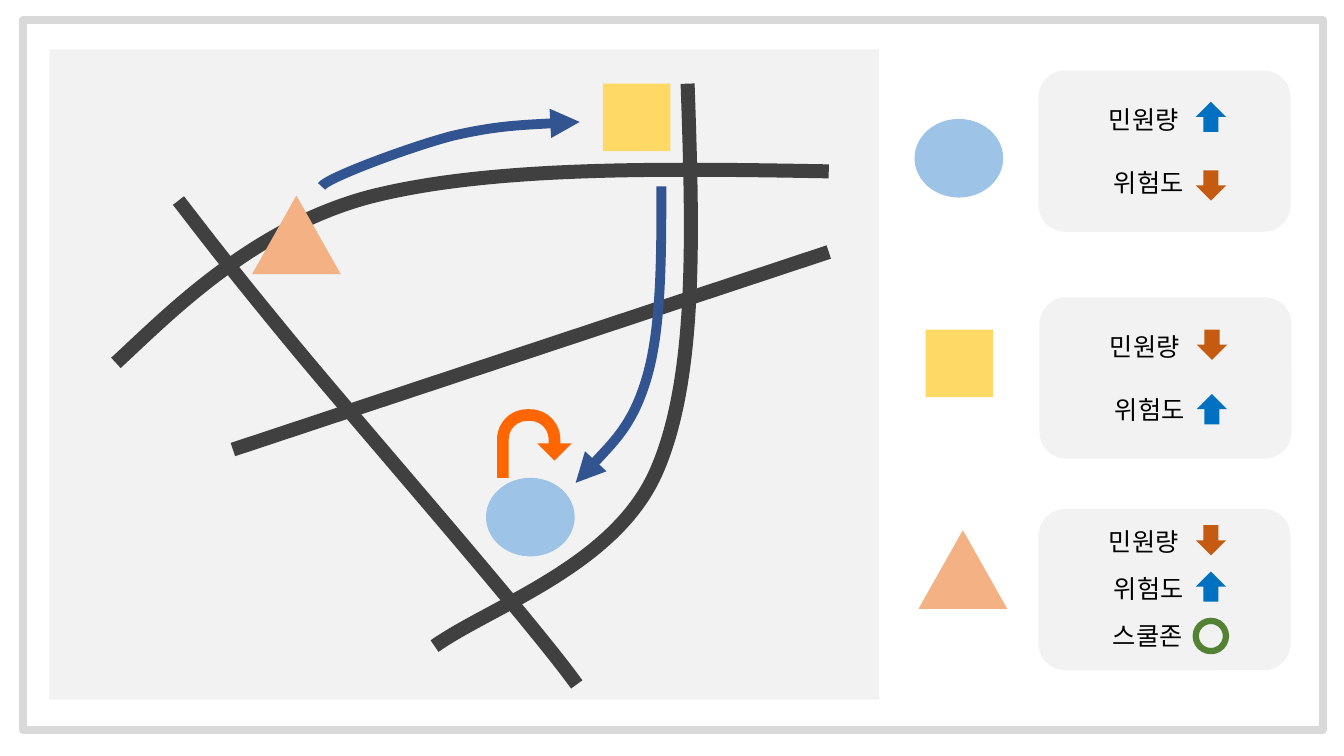
import pptx
import pptx.util
import pptx.dml.color
import pptx.enum.shapes
import pptx.oxml
import pptx.oxml.ns

Inches = pptx.util.Inches
Pt = pptx.util.Pt
SHAPES = pptx.enum.shapes.MSO_SHAPE
qn = pptx.oxml.ns.qn

THEME = {
    "panel": "F2F2F2", "frame": "D9D9D9", "road": "404040", "route": "325491",
    "circle": "9DC3E6", "square": "FFD966", "triangle": "F4B183",
    "up": "0070C0", "down": "C55A11", "zone": "548235", "return": "FF6600",
    "text": "000000", "font": "Noto Sans CJK KR", "label_size": 18,
    "road_width": 10, "route_width": 7, "frame_width": 6, "zone_width": 4.5,
}

# Content: each curve is a start point followed by Bezier triples
CURVED_ROADS = [
    [(6.82, 0.83), (6.87, 2.3), (6.92, 3.77), (6.5, 4.7),
     (6.08, 5.62), (4.88, 6.01), (4.31, 6.41)],
    [(8.22, 1.7), (6.52, 1.67), (4.82, 1.65), (3.64, 1.96),
     (2.47, 2.28), (1.63, 3.16), (1.15, 3.6)],
    [(1.77, 1.99), (2.01, 2.3), (2.25, 2.62), (2.91, 3.42),
     (3.57, 4.22), (5.26, 6.15), (5.72, 6.79)],
]
STRAIGHT_ROAD = [(8.22, 2.5), (2.31, 4.46)]
ROUTES = [
    [(6.56, 1.85), (6.56, 2.54), (6.56, 3.24), (6.42, 3.73),
     (6.28, 4.22), (5.86, 4.63), (5.71, 4.79)],
    [(3.19, 1.85), (3.23, 1.77), (4.06, 1.46), (4.48, 1.35),
     (4.91, 1.25), (5.33, 1.23), (5.75, 1.21)],
]
SITES = {  # preset, width, height
    "triangle": (SHAPES.ISOSCELES_TRIANGLE, 0.88, 0.78),
    "square": (SHAPES.RECTANGLE, 0.67, 0.67),
    "circle": (SHAPES.OVAL, 0.88, 0.78),
}
MAP_SITES = [("triangle", 2.5, 1.94), ("square", 5.98, 0.83), ("circle", 4.82, 4.74)]
COMPLAINTS, RISK, SCHOOL_ZONE = "민원량", "위험도", "스쿨존"
LABEL_INDENT = {COMPLAINTS: 0.6, RISK: 0.65, SCHOOL_ZONE: 0.64}
# site, site left, site top, card left, card top, first label, label pitch,
# rows of (label, mark, mark drop below label top)
LEGEND = [
    ("circle", 9.07, 1.18, 10.3, 0.7, 0.29, 0.62,
     [(COMPLAINTS, "up", 0.02), (RISK, "down", 0.08)]),
    ("square", 9.18, 3.27, 10.31, 2.95, 0.29, 0.62,
     [(COMPLAINTS, "down", 0.03), (RISK, "up", 0.05)]),
    ("triangle", 9.11, 5.26, 10.3, 5.05, 0.12, 0.47,
     [(COMPLAINTS, "down", 0.04), (RISK, "up", 0.03), (SCHOOL_ZONE, "zone", 0.05)]),
]
CARD_WIDTH, CARD_HEIGHT = 2.5, 1.6
MARK_INDENT, MARK_SIZE = 1.56, 0.3


def colour(role):
    return pptx.dml.color.RGBColor.from_string(THEME[role])


def add_preset(slide, preset, left, top, width, height, fill=None, line=None):
    shape = slide.shapes.add_shape(
        preset, Inches(left), Inches(top), Inches(width), Inches(height))
    shape.shadow.inherit = False
    if fill:
        shape.fill.solid()
        shape.fill.fore_color.rgb = colour(fill)
    else:
        shape.fill.background()
    if line:
        set_line(shape, line)
    else:
        shape.line.fill.background()
    return shape


def set_line(shape, role):
    shape.line.color.rgb = colour(role)
    shape.line.width = Pt(THEME[role + "_width"])


def add_curve(slide, points, role):
    start, *rest = [(Inches(x), Inches(y)) for x, y in points]
    builder = slide.shapes.build_freeform(*start)
    builder.add_line_segments(rest, close=False)
    curve = builder.convert_to_shape()
    curve.shadow.inherit = False
    curve.fill.background()
    set_line(curve, role)
    # Join every three segments into one cubic Bezier
    segments = list(curve._element.iter(qn("a:lnTo")))
    for first in range(0, len(segments), 3):
        bezier = pptx.oxml.parse_xml(
            f'<a:cubicBezTo {pptx.oxml.ns.nsdecls("a")}/>')
        segments[first].addprevious(bezier)
        for segment in segments[first:first + 3]:
            bezier.append(segment[0])
            segment.getparent().remove(segment)
    return curve


def add_site(slide, site, left, top):
    preset, width, height = SITES[site]
    add_preset(slide, preset, left, top, width, height, fill=site)


def add_label(slide, label, left, top):
    box = slide.shapes.add_textbox(Inches(left), Inches(top), Inches(0.96), Inches(0.4))
    box.text_frame.word_wrap = True
    paragraph = box.text_frame.paragraphs[0]
    paragraph.text = label
    paragraph.font.size = Pt(THEME["label_size"])
    paragraph.font.color.rgb = colour("text")
    paragraph.font.name = THEME["font"]
    latin = next(paragraph._p.iter(qn("a:latin")))
    latin.addnext(pptx.oxml.parse_xml(
        f'<a:ea {pptx.oxml.ns.nsdecls("a")} typeface="{THEME["font"]}"/>'))


def add_mark(slide, mark, left, top):
    if mark == "zone":
        add_preset(slide, SHAPES.OVAL, left, top, MARK_SIZE, MARK_SIZE, line="zone")
        return
    arrow = add_preset(slide, SHAPES.UP_ARROW, left, top, MARK_SIZE, MARK_SIZE, fill=mark)
    if mark == "down":
        arrow.rotation = 180


def add_map(slide):
    add_preset(slide, SHAPES.RECTANGLE, 0.49, 0.49, 8.23, 6.45, fill="panel")
    # Roads
    for points in CURVED_ROADS:
        add_curve(slide, points, "road")
    (x1, y1), (x2, y2) = STRAIGHT_ROAD
    road = slide.shapes.add_connector(
        pptx.enum.shapes.MSO_CONNECTOR.STRAIGHT,
        Inches(x1), Inches(y1), Inches(x2), Inches(y2))
    set_line(road, "road")
    road._element.spPr.append(pptx.oxml.parse_xml(
        f'<a:effectLst {pptx.oxml.ns.nsdecls("a")}/>'))
    # Sites and the routes between them
    for site, left, top in MAP_SITES:
        add_site(slide, site, left, top)
    for points in ROUTES:
        route = add_curve(slide, points, "route")
        route.line._get_or_add_ln().append(pptx.oxml.parse_xml(
            f'<a:tailEnd {pptx.oxml.ns.nsdecls("a")} type="triangle"/>'))


def add_legend(slide):
    for site, site_left, site_top, left, top, first, pitch, rows in LEGEND:
        add_site(slide, site, site_left, site_top)
        add_preset(slide, SHAPES.FLOWCHART_ALTERNATE_PROCESS,
                   left, top, CARD_WIDTH, CARD_HEIGHT, fill="panel")
        for row, (label, mark, drop) in enumerate(rows):
            label_top = top + first + row * pitch
            add_label(slide, label, left + LABEL_INDENT[label], label_top)
            add_mark(slide, mark, left + MARK_INDENT, label_top + drop)


def main():
    deck = pptx.Presentation()
    deck.slide_width, deck.slide_height = Inches(13.33), Inches(7.5)
    slide = deck.slides.add_slide(deck.slide_layouts[6])
    add_map(slide)
    add_preset(slide, SHAPES.RECTANGLE, 0.23, 0.2, 12.89, 7.04, line="frame")
    add_legend(slide)
    # Return loop above the circle site
    loop = add_preset(slide, SHAPES.U_TURN_ARROW, 4.93, 4.06, 0.74, 0.68, fill="return")
    for index, value in enumerate([0.17, 0.25, 0.25, 0.44, 0.75]):
        loop.adjustments[index] = value
    deck.save("out.pptx")


if __name__ == "__main__":
    main()
